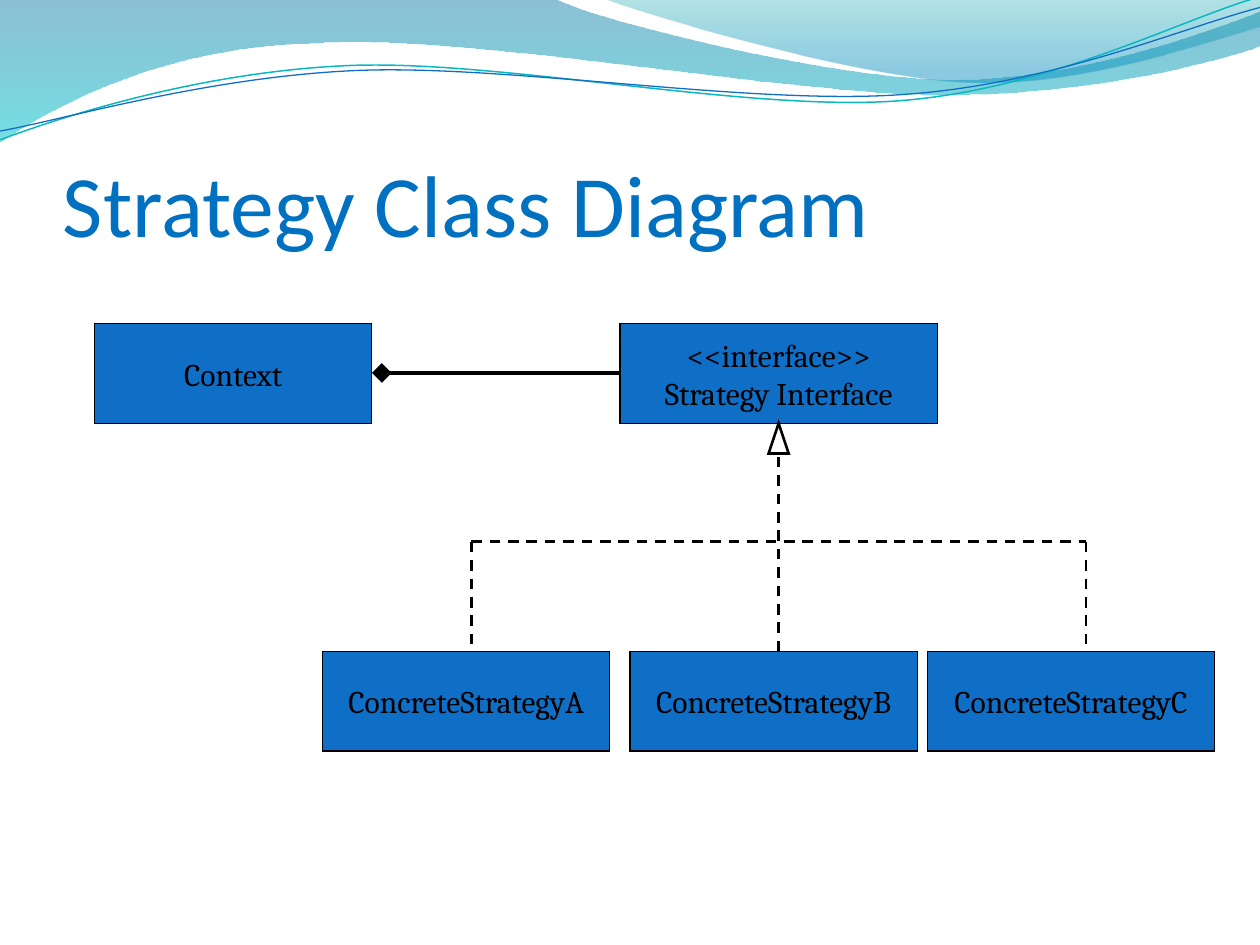
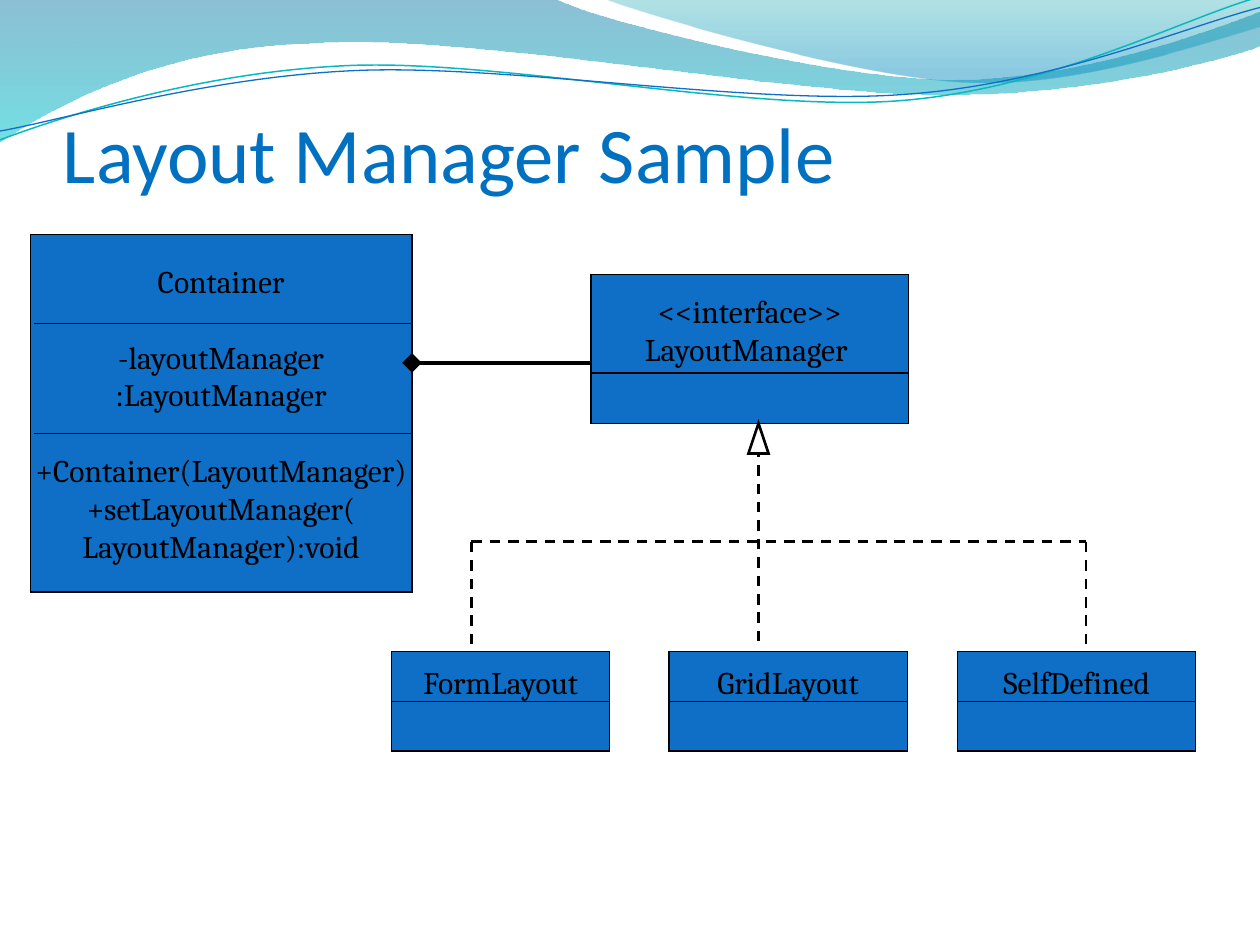
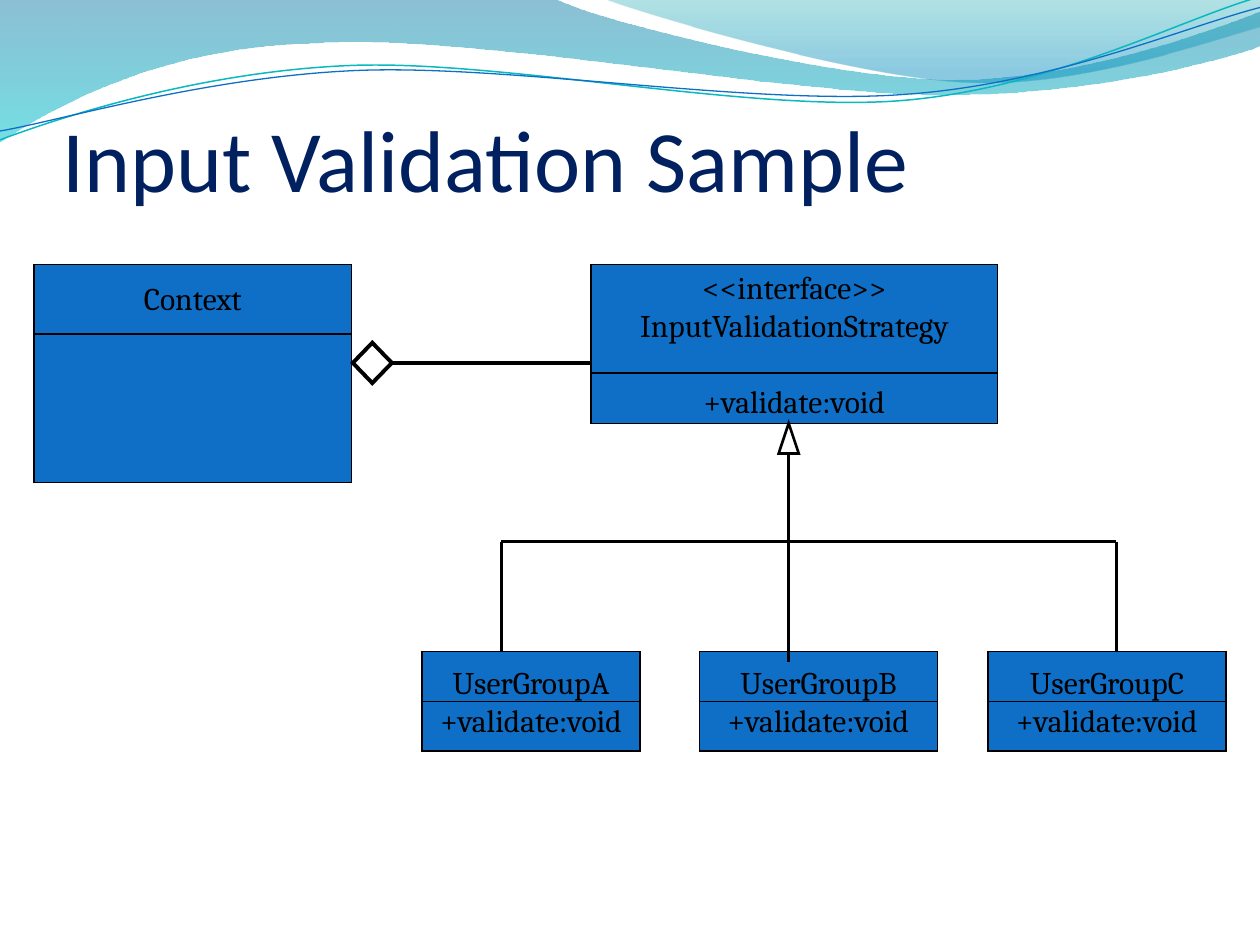
from dataclasses import dataclass
from math import cos, radians, sin

from lxml import etree
from pptx import Presentation
from pptx.dml.color import RGBColor
from pptx.enum.dml import MSO_LINE
from pptx.enum.shapes import MSO_CONNECTOR, MSO_SHAPE
from pptx.enum.text import MSO_ANCHOR, PP_ALIGN
from pptx.oxml.ns import qn
from pptx.util import Inches, Pt

STRAIGHT = MSO_CONNECTOR.STRAIGHT
RECTANGLE = MSO_SHAPE.RECTANGLE
TRIANGLE = MSO_SHAPE.ISOSCELES_TRIANGLE
DIAMOND = MSO_SHAPE.DIAMOND
DASH = MSO_LINE.DASH
CENTER = PP_ALIGN.CENTER
MIDDLE = MSO_ANCHOR.MIDDLE
BOTTOM = MSO_ANCHOR.BOTTOM

Point = tuple[float, float]


@dataclass(frozen=True)
class Theme:
    ink: str = "000000"
    box: str = "0F6FC6"
    title: str = "0070C0"
    dark_title: str = "002060"
    teal_line: str = "0AB8BF"
    title_font: str = "Calibri"
    box_font: str = "Cambria"
    box_size: float = 18
    thin: float = 0.75
    medium: float = 1.5
    thick: float = 2.25


@dataclass(frozen=True)
class GradientStop:
    position: float
    color: str
    opacity: int


@dataclass(frozen=True)
class Wave:
    start: Point
    segments: tuple[tuple[Point, ...], ...]
    stops: tuple[GradientStop, ...] = ()
    color: str = ""
    weight: float = 0
    tilt: float = 0
    center: Point = (0, 0)


@dataclass(frozen=True)
class ClassBox:
    left: float
    top: float
    width: float
    height: float
    lines: tuple[str, ...]
    gaps_before: tuple[int, ...] = ()
    lines_below: int = 0
    dividers: tuple[float, ...] = ()
    divider_indent: float = 0


@dataclass(frozen=True)
class Ownership:
    start: float
    end: float
    y: float
    hollow: bool = False


@dataclass(frozen=True)
class Inheritance:
    left: float
    right: float
    stem: float
    stem_foot: float
    dashed: bool = True


@dataclass(frozen=True)
class Diagram:
    title: str
    title_height: float
    title_size: float
    title_color: str
    boxes: tuple[ClassBox, ...]
    ownership: Ownership
    inheritance: Inheritance


THEME = Theme()
TEXT_LINE = 0.3
LINE_TILT = -2.7
PARENT_BOTTOM = 3.36
ARROW_WIDTH, ARROW_HEIGHT = 0.16, 0.24
BRANCH_Y = 4.3
CHILD_TOP, CHILD_HEIGHT = 5.17, 0.79
HOLLOW_WIDTH, HOLLOW_HEIGHT = 0.31, 0.32

WAVES = (
    Wave((0, 0), (
        ((4.4, -0.01),),
        ((4.76, 0.17), (6.64, 0.63), (7.58, 0.63)),
        ((8.53, 0.63), (9.58, 0.26), (10, 0.09)),
        ((10.01, 0.36),),
        ((9.83, 0.44), (8.7, 0.76), (7.46, 0.75)),
        ((6.22, 0.75), (3.82, 0.28), (2.57, 0.34)),
        ((1.29, 0.36), (0.46, 0.83), (-0.01, 1.13)),
        ((0, 0),),
    ), stops=(GradientStop(0, "0074A1", 45), GradientStop(1, "00C6CF", 55))),
    Wave((4.79, -0.01), (
        ((5.09, 0.11), (6.82, 0.62), (7.69, 0.65)),
        ((8.56, 0.69), (9.61, 0.32), (10, 0.21)),
        ((10, 0),),
        ((4.79, -0.01),),
    ), stops=(GradientStop(0, "00A1A9", 30), GradientStop(0.8, "008BBF", 45))),
    Wave((0, 1.11), (
        ((0.48, 0.93), (1.58, 0.57), (2.77, 0.52)),
        ((3.95, 0.47), (5.93, 0.89), (7.13, 0.8)),
        ((8.33, 0.71), (9.38, 0.15), (9.98, -0.02)),
    ), color=THEME.teal_line, weight=0.85, tilt=LINE_TILT, center=(4.99, 0.58)),
    Wave((0, 1.04), (
        ((0.47, 0.96), (1.64, 0.61), (2.83, 0.56)),
        ((4.03, 0.51), (5.97, 0.84), (7.17, 0.75)),
        ((8.36, 0.67), (9.41, 0.21), (10, 0.06)),
    ), color=THEME.box, weight=THEME.thin, tilt=LINE_TILT, center=(5, 0.59)),
)


def child(left: float, width: float, *lines: str, split: bool = True) -> ClassBox:
    return ClassBox(left, CHILD_TOP, width, CHILD_HEIGHT, lines,
                    lines_below=2 - len(lines) if split else 0,
                    dividers=(CHILD_TOP + CHILD_HEIGHT / 2,) if split else ())


DIAGRAMS = (
    Diagram(
        "Strategy Class Diagram", 1.25, 50, THEME.title,
        (
            ClassBox(0.75, 2.57, 2.2, 0.79, ("Context",)),
            child(2.56, 2.28, "ConcreteStrategyA", split=False),
            child(5, 2.28, "ConcreteStrategyB", split=False),
            child(7.36, 2.28, "ConcreteStrategyC", split=False),
            ClassBox(4.92, 2.57, 2.52, 0.79, ("<<interface>>", "Strategy Interface")),
        ),
        Ownership(3.03, 4.92, 2.96),
        Inheritance(3.74, 8.62, 6.18, 5.17),
    ),
    Diagram(
        "Layout Manager Sample", 0.81, 45, THEME.title,
        (
            ClassBox(0.24, 1.86, 3.03, 2.84,
                     ("Container", "-layoutManager", ":LayoutManager",
                      "+Container(LayoutManager)", "+setLayoutManager(",
                      "LayoutManager):void"),
                     gaps_before=(1, 3), dividers=(2.57, 3.44), divider_indent=0.03),
            child(3.11, 1.73, "FormLayout"),
            child(5.31, 1.89, "GridLayout"),
            child(7.6, 1.89, "SelfDefined"),
            ClassBox(4.69, 2.18, 2.52, 1.18, ("<<interface>>", "LayoutManager "),
                     lines_below=1, dividers=(2.96,)),
        ),
        Ownership(3.27, 4.69, 2.88),
        Inheritance(3.74, 8.62, 6.02, 5.09),
    ),
    Diagram(
        "Input Validation Sample", 0.9, 50, THEME.dark_title,
        (
            ClassBox(0.27, 2.1, 2.52, 1.73, ("Context",), lines_below=4, dividers=(2.65,)),
            child(3.35, 1.73, "UserGroupA", "+validate:void"),
            child(5.55, 1.89, "UserGroupB", "+validate:void"),
            child(7.84, 1.89, "UserGroupC", "+validate:void"),
            ClassBox(4.69, 2.1, 3.23, 1.26,
                     ("<<interface>>", "InputValidationStrategy", "+validate:void"),
                     gaps_before=(2,), dividers=(2.96,)),
        ),
        Ownership(2.8, 4.69, 2.88, hollow=True),
        Inheritance(3.98, 8.86, 6.26, 5.25, dashed=False),
    ),
)


def rgb(color: str) -> RGBColor:
    return RGBColor.from_string(color)


def style_line(item, color: str, weight: float) -> None:
    item.line.color.rgb = rgb(color)
    item.line.width = Pt(weight)


def style_text(paragraph, font: str, size: float, color: str) -> None:
    for run in paragraph.runs:
        run.font.name = font
        run.font.size = Pt(size)
        run.font.color.rgb = rgb(color)


def untilt(point: Point, wave: Wave) -> tuple[int, int]:
    angle = radians(-wave.tilt)
    x, y = point[0] - wave.center[0], point[1] - wave.center[1]
    return (Inches(wave.center[0] + x * cos(angle) - y * sin(angle)),
            Inches(wave.center[1] + x * sin(angle) + y * cos(angle)))


def bend(outline, wave: Wave) -> None:
    corners = iter(list(outline.element.iter(qn("a:lnTo"))))
    for segment in wave.segments:
        first = next(corners)
        if len(segment) == 1:
            continue
        curve = etree.Element(qn("a:cubicBezTo"))
        first.addprevious(curve)
        for corner in (first, next(corners), next(corners)):
            curve.append(corner[0])
            corner.getparent().remove(corner)


def draw_wave(slide, wave: Wave):
    points = [untilt(point, wave) for segment in wave.segments for point in segment]
    builder = slide.shapes.build_freeform(*untilt(wave.start, wave))
    builder.add_line_segments(points, close=bool(wave.stops))
    outline = builder.convert_to_shape()
    bend(outline, wave)
    outline.rotation = wave.tilt
    outline.shadow.inherit = False
    if not wave.stops:
        outline.fill.background()
        style_line(outline, wave.color, wave.weight)
        return outline
    outline.line.fill.background()
    outline.fill.gradient()
    outline.fill.gradient_angle = 270
    for stop, wanted in zip(outline.fill.gradient_stops, wave.stops):
        stop.position = wanted.position
        stop.color.rgb = rgb(wanted.color)
    for color, wanted in zip(outline.element.spPr.iter(qn("a:srgbClr")), wave.stops):
        etree.SubElement(color, qn("a:alpha"), val=str(wanted.opacity * 1000))
    return outline


def draw_title(slide, diagram: Diagram) -> None:
    title = slide.shapes.add_textbox(Inches(0.5), Inches(0.77), Inches(9),
                                     Inches(diagram.title_height))
    frame = title.text_frame
    frame.word_wrap = True
    frame.vertical_anchor = BOTTOM
    frame.margin_left = frame.margin_right = frame.margin_bottom = 0
    frame.margin_top = Inches(0.05)
    frame.text = diagram.title
    style_text(frame.paragraphs[0], THEME.title_font, diagram.title_size, diagram.title_color)


def draw_line(slide, start: Point, end: Point, weight: float,
              dashed: bool = False, diamond: bool = False) -> None:
    line = slide.shapes.add_connector(STRAIGHT, *map(Inches, (*start, *end)))
    style_line(line, THEME.ink, weight)
    if dashed:
        line.line.dash_style = DASH
    properties = line.element.spPr
    if diamond:
        etree.SubElement(properties.find(qn("a:ln")), qn("a:headEnd"),
                         type="diamond", w="lg", len="lg")
    etree.SubElement(properties, qn("a:effectLst"))


def draw_shape(slide, kind, left: float, top: float, width: float, height: float,
               weight: float):
    shape = slide.shapes.add_shape(kind, *map(Inches, (left, top, width, height)))
    shape.shadow.inherit = False
    shape.fill.background()
    style_line(shape, THEME.ink, weight)
    etree.SubElement(shape.element.spPr.find(qn("a:ln")), qn("a:miter"), lim="800000")
    return shape


def draw_box(slide, box: ClassBox) -> None:
    body = draw_shape(slide, RECTANGLE, box.left, box.top, box.width, box.height, THEME.thin)
    body.fill.solid()
    body.fill.fore_color.rgb = rgb(THEME.box)
    frame = body.text_frame
    frame.word_wrap = False
    frame.vertical_anchor = MIDDLE
    frame.margin_bottom = Inches(0.05 + TEXT_LINE * box.lines_below)
    frame.text = "\n".join(box.lines)
    for index, paragraph in enumerate(frame.paragraphs):
        paragraph.alignment = CENTER
        if index in box.gaps_before:
            paragraph.space_before = Inches(TEXT_LINE)
        style_text(paragraph, THEME.box_font, THEME.box_size, THEME.ink)


def draw_dividers(slide, box: ClassBox) -> None:
    for y in box.dividers:
        draw_line(slide, (box.left + box.divider_indent, y), (box.left + box.width, y),
                  THEME.thin)


def draw_ownership(slide, link: Ownership) -> None:
    start = link.start
    if link.hollow:
        draw_shape(slide, DIAMOND, start, link.y - HOLLOW_HEIGHT / 2,
                   HOLLOW_WIDTH, HOLLOW_HEIGHT, THEME.thick)
        start += HOLLOW_WIDTH
    draw_line(slide, (start, link.y), (link.end, link.y), THEME.thick,
              diamond=not link.hollow)


def draw_inheritance(slide, tree: Inheritance) -> None:
    left, right = (tree.left, BRANCH_Y), (tree.right, BRANCH_Y)
    for start, end in (
        (left, (tree.left, CHILD_TOP)),
        (left, right),
        (right, (tree.right, CHILD_TOP)),
        ((tree.stem, tree.stem_foot), (tree.stem, PARENT_BOTTOM + ARROW_HEIGHT)),
    ):
        draw_line(slide, start, end, THEME.medium, dashed=tree.dashed)
    draw_shape(slide, TRIANGLE, tree.stem - ARROW_WIDTH / 2, PARENT_BOTTOM,
               ARROW_WIDTH, ARROW_HEIGHT, THEME.medium)


def draw_diagram(slide, diagram: Diagram) -> None:
    draw_title(slide, diagram)
    for box in diagram.boxes:
        draw_box(slide, box)
    for box in diagram.boxes:
        draw_dividers(slide, box)
    draw_ownership(slide, diagram.ownership)
    draw_inheritance(slide, diagram.inheritance)


def main() -> None:
    deck = Presentation()
    deck.slide_width, deck.slide_height = Inches(10), Inches(7.5)
    blank = deck.slide_layouts[6]
    slides = [deck.slides.add_slide(blank) for _ in DIAGRAMS]
    for wave in WAVES:
        blank.shapes.element.append(draw_wave(slides[0], wave).element)
    for slide, diagram in zip(slides, DIAGRAMS):
        draw_diagram(slide, diagram)
    deck.save("out.pptx")


if __name__ == "__main__":
    main()
